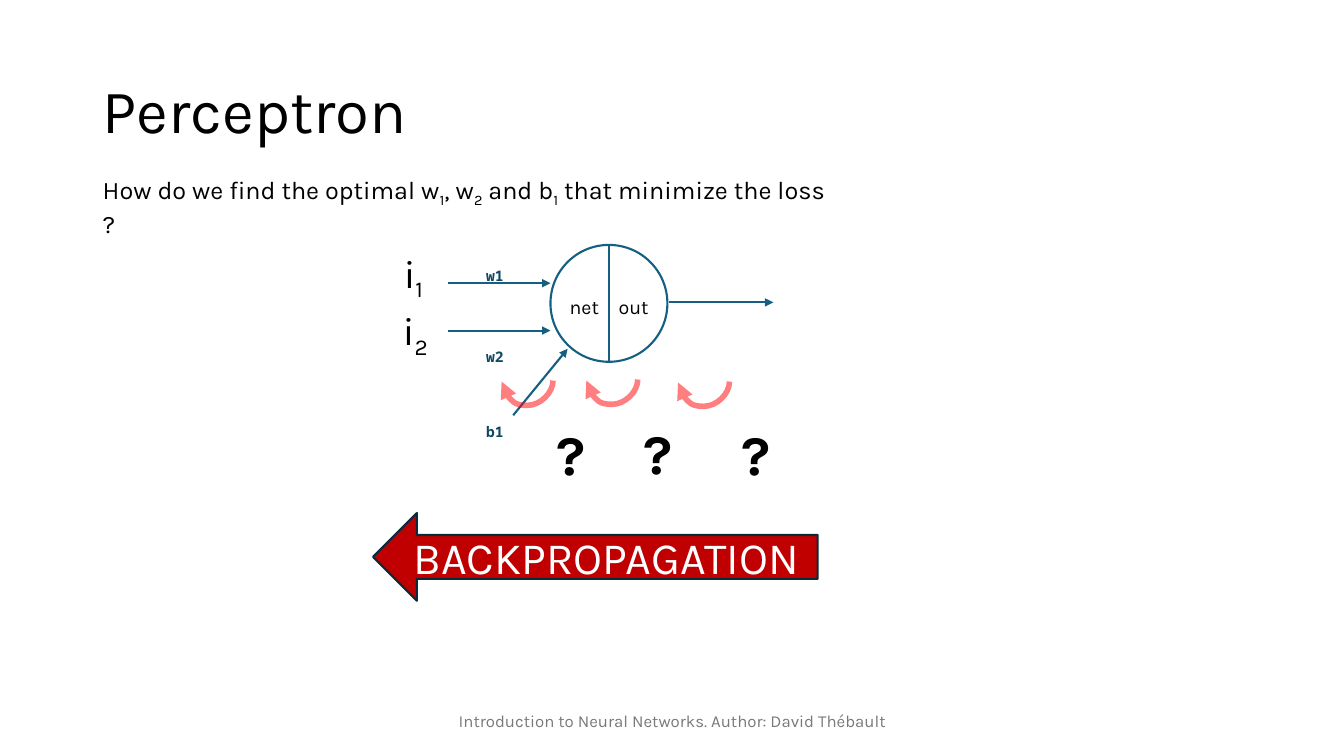
from lxml import etree
from pptx import Presentation
from pptx import util as u
from pptx.dml import color
from pptx.enum import shapes, text
from pptx.oxml import ns

SANS, MONO = "Karla", "Noto Sans Mono"
BLACK, WHITE, BLUE, NAVY = "000000", "FFFFFF", "156082", "104862"
RED, CORAL, INK, GREY = "C00000", "FF0002", "092A39", "797979"


def rgb(value):
    """Turn a hex string into a colour."""
    return color.RGBColor.from_string(value)


def add_child(parent, tag, **attributes):
    """Append a DrawingML element with the given attributes."""
    child = etree.SubElement(parent, ns.qn(tag))
    for name, value in attributes.items():
        child.set(name, str(value))
    return child


def write(frame, spans, size, hue=BLACK, font=SANS, bold=False,
          align=text.PP_ALIGN.CENTER, anchor=text.MSO_ANCHOR.TOP):
    """Fill a text frame with (words, is_subscript) spans."""
    frame.word_wrap = True
    frame.vertical_anchor = anchor
    para = frame.paragraphs[0]
    para.alignment = align
    for words, is_subscript in spans:
        span = para.add_run()
        span.text = words
        span.font.size = u.Pt(size)
        span.font.name = font
        span.font.bold = bold
        span.font.color.rgb = rgb(hue)
        if is_subscript:
            span._r.get_or_add_rPr().set("baseline", "-25000")
    return para


def add_label(page, left, top, width, height, spans, size, **style):
    """Add a text box holding one styled paragraph."""
    box = page.shapes.add_textbox(*map(u.Inches, (left, top, width, height)))
    write(box.text_frame, spans, size, **style)
    return box


def add_line(parent, start, end, hue=BLUE, weight=1.5, arrow=True,
             kind=shapes.MSO_CONNECTOR.STRAIGHT):
    """Add a connector, by default with an arrowhead at its end."""
    line = parent.shapes.add_connector(kind, *map(u.Inches, (*start, *end)))
    line.line.color.rgb = rgb(hue)
    line.line.width = u.Pt(weight)
    if arrow:
        add_child(line.line._get_or_add_ln(), "a:tailEnd", type="triangle")
    add_child(line._element.spPr, "a:effectLst")
    return line


def add_back_curve(page, center, level):
    """Add a translucent curved arrow that swings down and to the left."""
    span, depth, thickness = 0.51, 0.25, 0.01
    left = center - thickness / 2
    curve = add_line(page, (left, level - span / 2),
                     (left + thickness, level + span / 2),
                     CORAL, 4, kind=shapes.MSO_CONNECTOR.CURVE)
    properties = curve._element.spPr
    properties.find(ns.qn("a:xfrm")).set("rot", str(90 * 60000))
    geometry = properties.find(ns.qn("a:prstGeom"))
    guides = geometry.find(ns.qn("a:avLst"))
    if guides is None:
        guides = add_child(geometry, "a:avLst")
    add_child(guides, "a:gd", name="adj1",
              fmla=f"val {round(depth / thickness * 100000)}")
    add_child(properties.find(".//" + ns.qn("a:srgbClr")), "a:alpha", val=50000)


def add_block(parent, kind, left, top, width, height, fill, outline):
    """Add a filled and outlined preset shape."""
    block = parent.shapes.add_shape(
        kind, *map(u.Inches, (left, top, width, height)))
    block.shadow.inherit = False
    block.fill.solid()
    block.fill.fore_color.rgb = rgb(fill)
    block.line.color.rgb = rgb(outline)
    block.line.width = u.Pt(1.5)
    return block


def add_title(page, words):
    """Place and format the title placeholder."""
    title = page.shapes.title
    title.left, title.top = u.Inches(0.92), u.Inches(0.4)
    title.width, title.height = u.Inches(11.5), u.Inches(1.45)
    para = write(title.text_frame, [(words, False)], 44,
                 align=text.PP_ALIGN.LEFT, anchor=text.MSO_ANCHOR.MIDDLE)
    para.line_spacing = 0.9


def add_neuron(page):
    """Add the circle split into its net and out halves."""
    neuron = page.shapes.add_group_shape()
    add_block(neuron, shapes.MSO_SHAPE.OVAL, 5.46, 2.43, 1.16, 1.16, WHITE, BLUE)
    add_line(neuron, (6.04, 2.43), (6.04, 3.59), arrow=False)
    for left, words in ((5.51, "net"), (6, "out")):
        add_label(page, left, 2.88, 0.57, 0.34, [(words, False)], 14)


def add_signals(page):
    """Add the inputs, weights, bias and output of the neuron."""
    for start, end in (((4.44, 2.81), (5.46, 2.81)), ((4.44, 3.28), (5.46, 3.28)),
                       ((6.64, 3), (7.67, 3)), ((5.09, 4.12), (5.63, 3.46))):
        add_line(page, start, end)
    for left, top, index in ((3.77, 2.42, "1"), (3.79, 2.99, "2")):
        add_label(page, left, top, 0.66, 0.57, [("i", False), (index, True)], 28)
    for top, words in ((2.43, "w1"), (3.23, "w2"), (3.98, "b1")):
        add_label(page, 4.58, top, 0.66, 0.3, [(words, True)], 18,
                  hue=NAVY, font=MONO, bold=True)


def add_backpropagation(page):
    """Add the banner, the question marks and the backward curves."""
    banner = add_block(page, shapes.MSO_SHAPE.LEFT_ARROW,
                       3.7, 5.09, 4.41, 0.87, RED, INK)
    write(banner.text_frame, [("BACKPROPAGATION", False)], 32, WHITE,
          anchor=text.MSO_ANCHOR.MIDDLE)
    for left, top in ((5.41, 4.11), (6.28, 4.1), (7.25, 4.11)):
        add_label(page, left, top, 0.5, 0.77, [("?", False)], 40, bold=True)
    for center, level in ((6.98, 3.79), (6.07, 3.77), (5.23, 3.78)):
        add_back_curve(page, center, level)


def main():
    """Build the perceptron slide and save it."""
    deck = Presentation()
    deck.slide_width, deck.slide_height = u.Inches(13.33), u.Inches(7.5)
    page = deck.slides.add_slide(deck.slide_layouts[5])
    add_title(page, "Perceptron")
    add_neuron(page)
    add_signals(page)
    add_label(page, 4.42, 6.95, 4.5, 0.4,
              [("Introduction to Neural Networks. Author: David Thébault", False)],
              12, hue=GREY, anchor=text.MSO_ANCHOR.MIDDLE)
    question = [("How do we find the optimal w", False), ("1", True),
                (", w", False), ("2", True), (" and b", False), ("1", True),
                (" that minimize the loss ?", False)]
    add_label(page, 0.92, 1.68, 7.41, 0.4, question, 18,
              align=text.PP_ALIGN.LEFT)
    add_backpropagation(page)
    deck.save("out.pptx")


if __name__ == "__main__":
    main()
